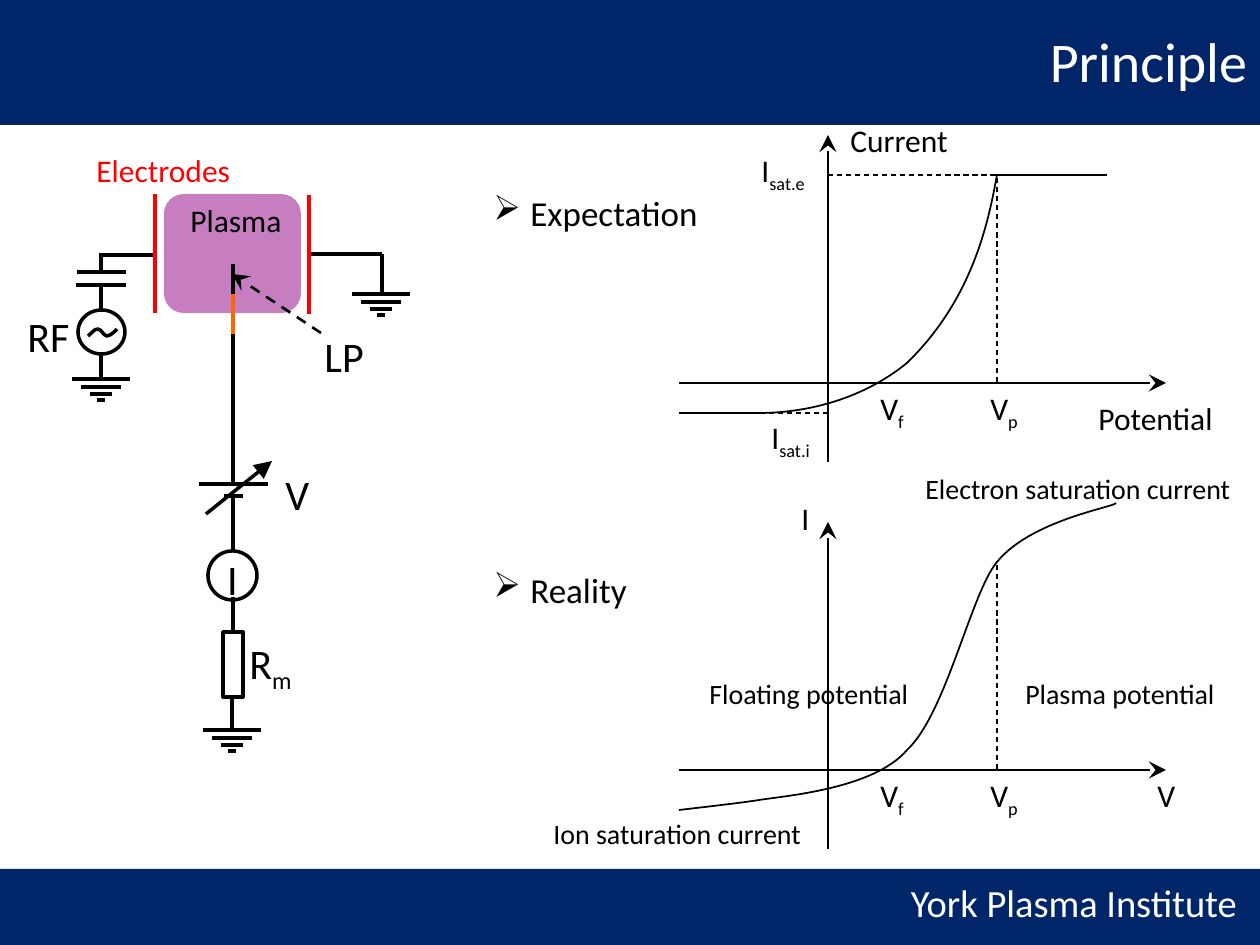
from lxml.etree import SubElement
from pptx import Presentation
from pptx.dml.color import RGBColor
from pptx.enum.dml import MSO_LINE
from pptx.enum.shapes import MSO_CONNECTOR, MSO_SHAPE as SHAPE
from pptx.enum.text import MSO_ANCHOR as ANCHOR, PP_ALIGN as ALIGN
from pptx.oxml.ns import qn
from pptx.util import Emu, Pt

FONT = "Calibri"
NAVY, BLACK, WHITE, RED, ORANGE = "002569", "000000", "FFFFFF", "FF0000", "FF6600"
PURPLE = "B95CB0"

# Circuit: x1, y1, x2, y2
WIRES = [
    (101, 355, 101, 379), (101, 285, 101, 310), (101, 255, 156, 255),
    (77, 272, 126, 272), (76, 285, 126, 285), (101, 253, 101, 271),
    (382, 254, 382, 294), (310, 254, 382, 254),
    (233, 294, 233, 264), (233, 334, 233, 483), (233, 498, 233, 552),
    (199, 484, 268, 484), (224, 496, 243, 496),
    (233, 597, 233, 632), (232, 697, 232, 730),
]
ELECTRODES = [(155, 194, 155, 313), (309, 195, 309, 314)]
PROBE_SLEEVE = (233, 334, 233, 294)
GROUNDS = [(101, 379), (381, 294), (232, 730)]
GROUND_BARS = [(29, 0), (20, 8), (11, 15), (4, 21)]  # half width, drop
OUTLINES = [
    (SHAPE.OVAL, 78, 310, 47, 44),
    (SHAPE.OVAL, 208, 551, 49, 49),
    (SHAPE.RECTANGLE, 223, 632, 20, 65),
]
SINE = [(88, 336), (92, 333), (94, 329), (98, 329), (101, 329), (104, 336),
        (107, 336), (111, 336), (117, 329), (117, 329)]

# Current-voltage graphs
AXIS_X, AXIS_LEFT, AXIS_RIGHT, PLASMA_X = 828, 679, 1166, 997
AXIS_YS = [383, 770]
EXPECTED = [(759, 413), (779, 413), (848, 411), (907, 363),
            (971, 301), (988, 226), (997, 175)]
REAL = [(679, 810), (687, 809), (741, 803), (759, 800), (784, 796), (874, 789),
        (907, 750), (946, 714), (971, 593), (997, 562),
        (1031, 520), (1115, 507), (1116, 503)]
PLATEAUS = [(679, 413, 759, 413), (997, 175, 1107, 175)]
GUIDES = [(769, 413, 828, 413), (828, 175, 998, 175)]

# Labels: text, subscript, box, size, colour
LABELS = [
    ("Plasma", "", (178, 195, 120, 38), 18, BLACK),
    ("Electrodes", "", (84, 145, 165, 38), 18, RED),
    ("RF", "", (15, 304, 75, 50), 24, BLACK),
    ("LP", "", (312, 324, 81, 50), 24, BLACK),
    ("V", "", (273, 462, 60, 50), 24, BLACK),
    ("R", "m", (237, 631, 80, 50), 24, BLACK),
    ("I", "sat.i", (759, 412, 100, 55), 18, BLACK),
    ("I", "sat.e", (749, 145, 100, 55), 18, BLACK),
    ("Potential", "", (1086, 393, 169, 50), 18, BLACK),
    ("Current", "", (838, 115, 169, 50), 18, BLACK),
    ("V", "", (1145, 770, 89, 50), 18, BLACK),
    ("I", "", (789, 493, 89, 50), 18, BLACK),
    ("Electron saturation current", "", (913, 465, 337, 53), 16, BLACK),
    ("Ion saturation current", "", (541, 810, 287, 67), 16, BLACK),
    ("Floating potential", "", (697, 670, 228, 40), 16, BLACK),
    ("Plasma potential", "", (1013, 670, 228, 44), 16, BLACK),
]
AXIS_MARKS = [("f", 868), ("p", 978)]
BULLETS = [("Expectation", (481, 185, 268, 54)), ("Reality", (481, 562, 238, 54))]


def px(n):
    return Emu(round(n * 914400 / 126))


def rgb(color):
    return RGBColor.from_string(color)


def style_line(line, color, width, dashed=False, head=None):
    line.color.rgb = rgb(color)
    line.width = Pt(width)
    if dashed:
        line.dash_style = MSO_LINE.DASH
    if head:
        SubElement(line._get_or_add_ln(), qn("a:tailEnd"), type=head, w="lg", len="lg")


def add_line(ends, color=BLACK, width=2, dashed=False, head=None):
    cxn = shapes.add_connector(MSO_CONNECTOR.STRAIGHT, *map(px, ends))
    style_line(cxn.line, color, width, dashed, head)
    SubElement(cxn._element.spPr, qn("a:effectLst"))


def add_shape(kind, box, fill=None):
    sp = shapes.add_shape(kind, *map(px, box))
    sp.shadow.inherit = False
    if fill:
        sp.fill.solid()
        sp.fill.fore_color.rgb = rgb(fill)
        sp.line.fill.background()
    else:
        sp.fill.background()
        style_line(sp.line, BLACK, 2)
    return sp


def add_curve(points, width):
    """Draw a start point followed by cubic Bézier triples."""
    pts = [(px(x), px(y)) for x, y in points]
    builder = shapes.build_freeform(*pts[0], scale=1.0)
    builder.add_line_segments(pts[1:], close=False)
    sp = builder.convert_to_shape()
    segments = list(sp._element.iter(qn("a:lnTo")))
    for i in range(0, len(segments), 3):
        curve = SubElement(segments[i].getparent(), qn("a:cubicBezTo"))
        for segment in segments[i:i + 3]:
            curve.append(segment[0])
            segment.getparent().remove(segment)
    sp.shadow.inherit = False
    sp.fill.background()
    style_line(sp.line, BLACK, width)


def add_run(p, text, size, color):
    r = p.add_run()
    r.text = text
    r.font.name, r.font.size = FONT, Pt(size)
    r.font.color.rgb = rgb(color)
    return r


def add_text(text, sub, box, size, color=BLACK, align=ALIGN.LEFT, anchor=ANCHOR.TOP):
    tf = shapes.add_textbox(*map(px, box)).text_frame
    tf.word_wrap = True
    tf.vertical_anchor = anchor
    p = tf.paragraphs[0]
    p.alignment = align
    add_run(p, text, size, color)
    if sub:
        add_run(p, sub, size, color).font._element.set("baseline", "-25000")
    return p


prs = Presentation()
prs.slide_width, prs.slide_height = px(1260), px(945)
slide = prs.slides.add_slide(prs.slide_layouts[5])
shapes = slide.shapes

add_shape(SHAPE.RECTANGLE, (0, 869, 1260, 76), NAVY)
add_shape(SHAPE.RECTANGLE, (0, 0, 1260, 125), NAVY)
add_text("York Plasma Institute", "", (878, 875, 392, 54), 22, WHITE,
         ALIGN.CENTER, ANCHOR.MIDDLE)

title = shapes.title
title.left, title.top, title.width, title.height = map(px, (362, 16, 898, 88))
title.text_frame.vertical_anchor = ANCHOR.MIDDLE
p = title.text_frame.paragraphs[0]
p.alignment = ALIGN.RIGHT
add_run(p, "Principle", 32, WHITE)
shapes._spTree.append(title._element)  # in front of the header band

plasma = add_shape(SHAPE.ROUNDED_RECTANGLE, (164, 194, 137, 119), PURPLE)
SubElement(plasma._element.spPr.find(".//" + qn("a:srgbClr")), qn("a:alpha"), val="79000")
for wire in WIRES:
    add_line(wire)
for electrode in ELECTRODES:
    add_line(electrode, RED)
add_line(PROBE_SLEEVE, ORANGE)
for x, y in GROUNDS:
    for half, drop in GROUND_BARS:
        add_line((x - half, y + drop, x + half, y + drop))
for kind, *box in OUTLINES:
    add_shape(kind, box)
add_curve(SINE, 2)
add_line((321, 333, 232, 274), width=1.5, dashed=True, head="stealth")
add_line((206, 514, 272, 461), head="triangle")
add_text("I", "", (209, 547, 47, 50), 24, align=ALIGN.CENTER)

for y in AXIS_YS:
    add_line((AXIS_X, y + 79, AXIS_X, y - 248), width=1.5, head="stealth")
    add_line((AXIS_LEFT, y, AXIS_RIGHT, y), width=1.5, head="stealth")
    add_line((PLASMA_X, y - 1, PLASMA_X, y - 209), width=0.75, dashed=True)
    for sub, x in AXIS_MARKS:
        add_text("V", sub, (x, y, 100, 55), 18)
for guide in GUIDES:
    add_line(guide, width=0.75, dashed=True)
for plateau in PLATEAUS:
    add_line(plateau, width=1)
for curve in (EXPECTED, REAL):
    add_curve(curve, 1)

for label in LABELS:
    add_text(*label)
for text, box in BULLETS:
    pPr = add_text(text, "", box, 20)._p.get_or_add_pPr()
    pPr.set("marL", str(px(37)))
    pPr.set("indent", str(-px(37)))
    SubElement(SubElement(pPr, qn("a:buClr")), qn("a:srgbClr"), val=BLACK)
    SubElement(pPr, qn("a:buChar"), char="➢")

prs.save("out.pptx")
